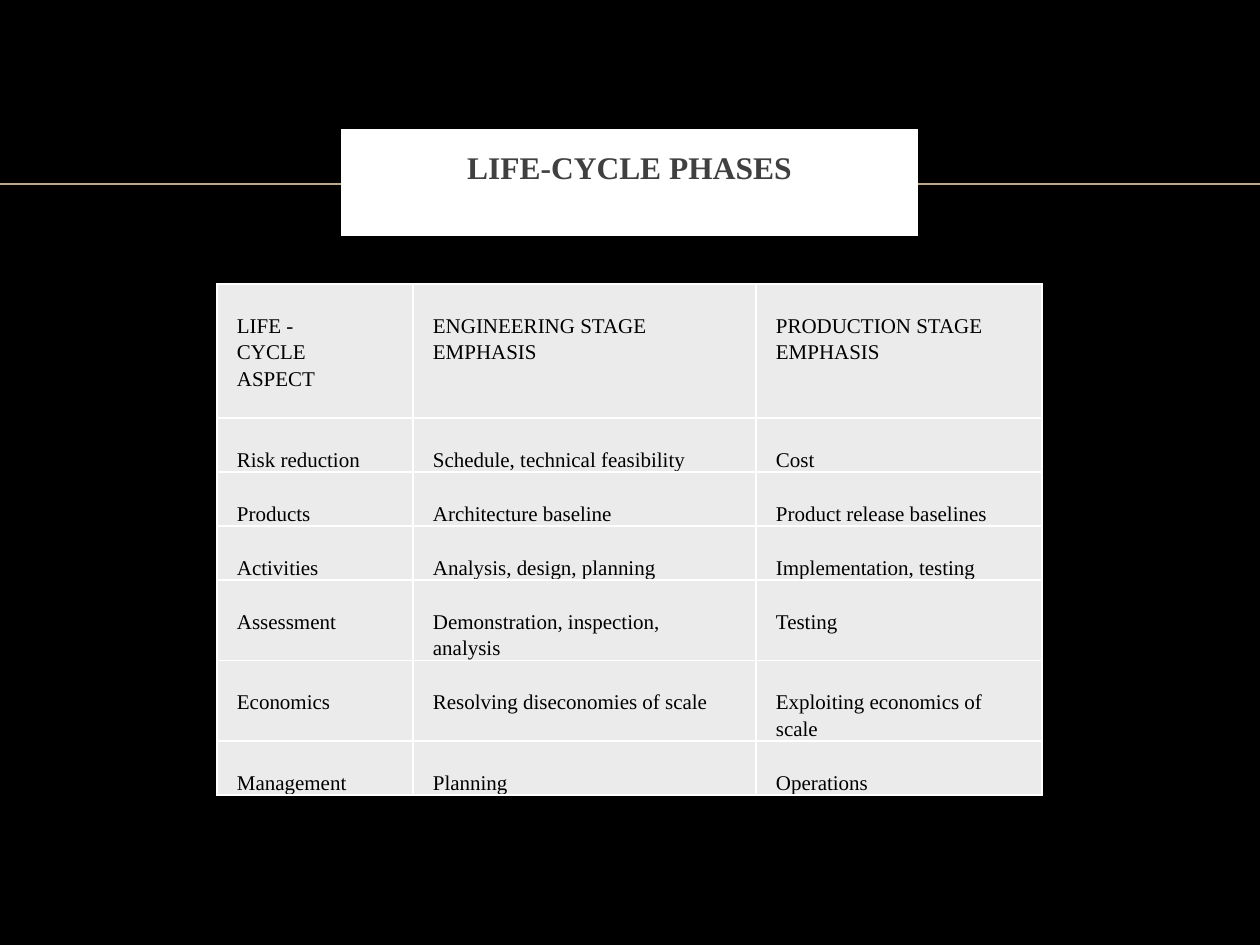
from lxml import etree
from pptx import Presentation
from pptx.dml.color import RGBColor
from pptx.enum.shapes import MSO_CONNECTOR, MSO_SHAPE
from pptx.enum.text import MSO_ANCHOR, PP_ALIGN
from pptx.oxml.ns import qn
from pptx.util import Emu, Pt

PX = 914400 // 126
BLACK = RGBColor(0x00, 0x00, 0x00)
WHITE = RGBColor(0xFF, 0xFF, 0xFF)
GRAY = RGBColor(0x40, 0x40, 0x40)
PALE = RGBColor(0xEB, 0xEB, 0xEB)
TAN = RGBColor(0xBB, 0xAA, 0x8A)


def write(frame, text, size=12, color=BLACK, bold=False, align=PP_ALIGN.LEFT,
          spacing=1.0, left=0, top=0, right=0):
    frame.word_wrap = True
    frame.vertical_anchor = MSO_ANCHOR.TOP
    frame.margin_left, frame.margin_top = Emu(left * PX), Emu(top * PX)
    frame.margin_right, frame.margin_bottom = Emu(right * PX), 0
    paragraph = frame.paragraphs[0]
    paragraph.alignment, paragraph.line_spacing = align, spacing
    run = paragraph.add_run()
    run.text = text
    run.font.name, run.font.size, run.font.bold = "Times New Roman", Pt(size), bold
    run.font.color.rgb = color


def add_borders(cell, color, width):
    props = cell._tc.get_or_add_tcPr()
    for index, side in enumerate(("lnL", "lnR", "lnT", "lnB")):
        border = etree.Element(qn(f"a:{side}"), w=str(Pt(width)))
        fill = etree.SubElement(border, qn("a:solidFill"))
        etree.SubElement(fill, qn("a:srgbClr"), val=str(color))
        props.insert(index, border)


prs = Presentation()
prs.slide_width, prs.slide_height = Emu(1260 * PX), Emu(945 * PX)
slide = prs.slides.add_slide(prs.slide_layouts[6])
slide.background.fill.solid()
slide.background.fill.fore_color.rgb = BLACK

# Rule across the slide, behind the title
rule = slide.shapes.add_connector(
    MSO_CONNECTOR.STRAIGHT, 0, Emu(184 * PX), Emu(1260 * PX), Emu(184 * PX))
rule.line.color.rgb = TAN
rule.line.width = Pt(1)
etree.SubElement(rule._element.spPr, qn("a:effectLst"))

# Life-cycle table
ROWS = [
    ("LIFE - CYCLE ASPECT", "ENGINEERING STAGE EMPHASIS", "PRODUCTION STAGE EMPHASIS"),
    ("Risk reduction", "Schedule, technical feasibility", "Cost"),
    ("Products", "Architecture baseline", "Product release baselines"),
    ("Activities", "Analysis, design, planning", "Implementation, testing"),
    ("Assessment", "Demonstration, inspection, analysis", "Testing"),
    ("Economics", "Resolving diseconomies of scale", "Exploiting economics of scale"),
    ("Management", "Planning", "Operations"),
]
COLUMN_WIDTHS = (196, 343, 286)
RIGHT_MARGINS = (48, 30, 30)
ROW_HEIGHTS = (134, 54, 54, 54, 80, 80, 54)

phases = slide.shapes.add_table(
    len(ROWS), len(COLUMN_WIDTHS), Emu(217 * PX), Emu(284 * PX),
    Emu(sum(COLUMN_WIDTHS) * PX), Emu(sum(ROW_HEIGHTS) * PX)).table
phases.first_row = phases.horz_banding = False
for column, width in zip(phases.columns, COLUMN_WIDTHS):
    column.width = Emu(width * PX)
for row, height, texts in zip(phases.rows, ROW_HEIGHTS, ROWS):
    row.height = Emu(height * PX)
    for cell, text, right in zip(row.cells, texts, RIGHT_MARGINS):
        write(cell.text_frame, text, spacing=1.15)
        cell.margin_left, cell.margin_top = Emu(20 * PX), Emu(27 * PX)
        cell.margin_right, cell.margin_bottom = Emu(right * PX), 0
        cell.vertical_anchor = MSO_ANCHOR.TOP
        cell.fill.solid()
        cell.fill.fore_color.rgb = PALE
        add_borders(cell, WHITE, 1)

# Title box
title = slide.shapes.add_shape(
    MSO_SHAPE.RECTANGLE, Emu(346 * PX), Emu(134 * PX), Emu(567 * PX), Emu(97 * PX))
title.shadow.inherit = False
title.fill.solid()
title.fill.fore_color.rgb = WHITE
title.line.color.rgb = WHITE
title.line.width = Pt(6)
etree.SubElement(title.line._get_or_add_ln(), qn("a:miter"), lim="800000")
write(title.text_frame, "LIFE-CYCLE PHASES", size=18, color=GRAY, bold=True,
      align=PP_ALIGN.CENTER, top=14)

prs.save("out.pptx")
